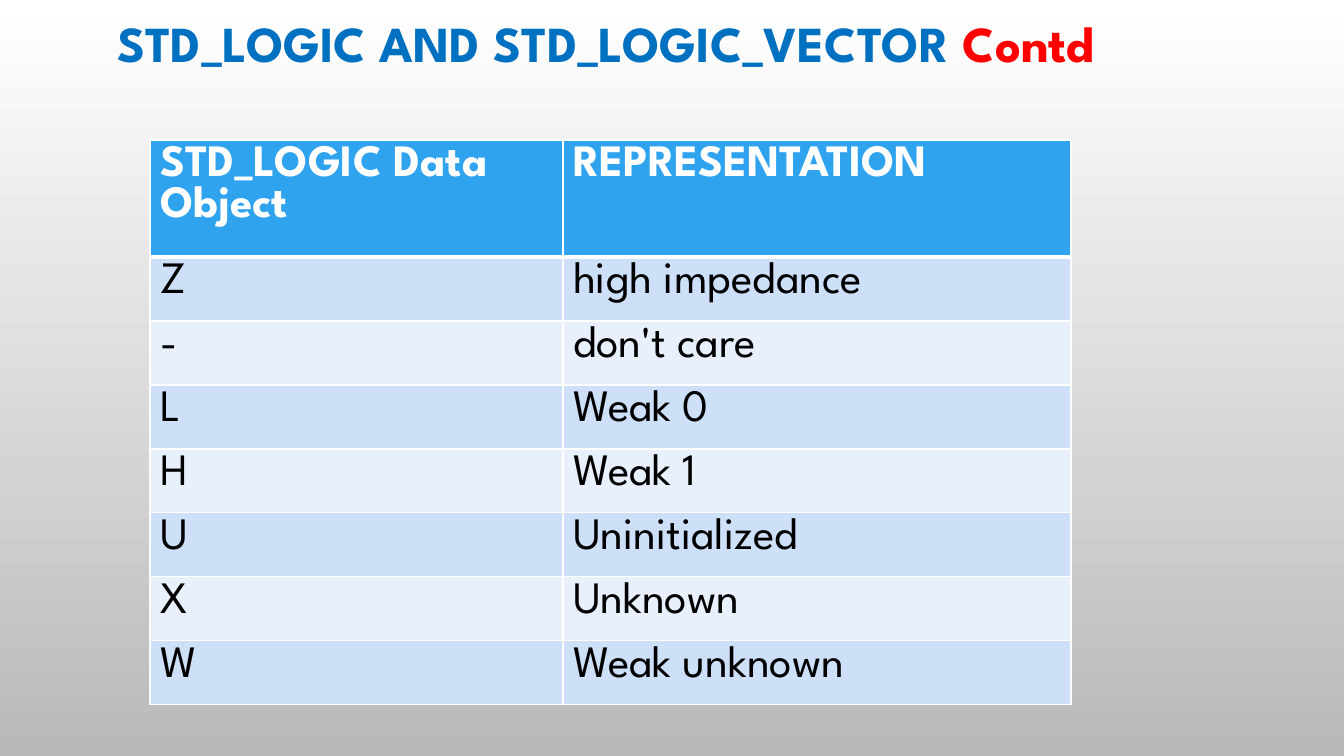
"""Build the slide that lists the STD_LOGIC values and their meanings."""
import typing

import pptx
import pptx.dml.color
import pptx.enum.text
import pptx.oxml
import pptx.oxml.ns
import pptx.util

RGB = pptx.dml.color.RGBColor
WHITE = RGB(0xFF, 0xFF, 0xFF)
GREY = RGB(0xB9, 0xB9, 0xB9)
BLACK = RGB(0x00, 0x00, 0x00)
BLUE = RGB(0x00, 0x70, 0xC0)
RED = RGB(0xFF, 0x00, 0x00)
HEAD = RGB(0x2F, 0xA3, 0xEE)
DARK = RGB(0xCD, 0xE0, 0xF8)
LIGHT = RGB(0xE8, 0xF0, 0xFC)
FONT = "League Spartan"
SCALE = 914400 / 100.8


class Row(typing.NamedTuple):
    value: str
    sense: str


ROWS = [
    Row("STD_LOGIC Data Object", "REPRESENTATION"),
    Row("Z", "high impedance"),
    Row("-", "don't care"),
    Row("L", "Weak 0"),
    Row("H", "Weak 1"),
    Row("U", "Uninitialized"),
    Row("X", "Unknown"),
    Row("W", "Weak unknown"),
]


def px(count: int) -> pptx.util.Emu:
    return pptx.util.Emu(round(count * SCALE))


def write(para, text: str, *, size: int = 32, color: RGB = BLACK, bold: bool = False) -> None:
    run = para.add_run()
    run.text = text
    run.font.name = FONT
    run.font.size = pptx.util.Pt(size)
    run.font.bold = bold
    run.font.color.rgb = color


def edge(cell, side: str, width: int) -> None:
    space = pptx.oxml.ns.nsdecls("a")
    cell._tc.get_or_add_tcPr().append(pptx.oxml.parse_xml(
        f'<a:ln{side} {space} w="{pptx.util.Pt(width)}"><a:solidFill>'
        f'<a:srgbClr val="{WHITE}"/></a:solidFill></a:ln{side}>'))


def paint(slide) -> None:
    fill = slide.background.fill
    fill.gradient()
    fill.gradient_angle = 270
    for stop, color, place in zip(fill.gradient_stops, (WHITE, GREY), (0, 1)):
        stop.color.rgb = color
        stop.position = place


def add_title(slide) -> None:
    title = slide.shapes.title
    title.left, title.top, title.width, title.height = map(px, (107, 3, 1127, 75))
    frame = title.text_frame
    frame.word_wrap = True
    frame.auto_size = pptx.enum.text.MSO_AUTO_SIZE.NONE
    frame.vertical_anchor = pptx.enum.text.MSO_ANCHOR.BOTTOM
    para = frame.paragraphs[0]
    para.alignment = pptx.enum.text.PP_ALIGN.LEFT
    para.line_spacing = 1.07
    write(para, "STD_LOGIC AND STD_LOGIC_VECTOR ", size=36, color=BLUE, bold=True)
    write(para, "Contd", size=36, color=RED, bold=True)


def add_table(slide) -> None:
    widths = (413, 508)
    heights = [117] + [64] * (len(ROWS) - 1)
    table = slide.shapes.add_table(
        len(ROWS), len(widths), px(150), px(140), px(sum(widths)), px(sum(heights))).table
    for column, width in zip(table.columns, widths):
        column.width = px(width)
    for rank, (row, height) in enumerate(zip(ROWS, heights)):
        table.rows[rank].height = px(height)
        first = rank == 0
        for cell, text in zip(table.rows[rank].cells, row):
            edge(cell, "L", 1)
            edge(cell, "R", 1)
            edge(cell, "T", 3 if rank == 1 else 1)
            edge(cell, "B", 3 if first else 1)
            cell.fill.solid()
            cell.fill.fore_color.rgb = HEAD if first else DARK if rank % 2 else LIGHT
            write(cell.text_frame.paragraphs[0], text, color=WHITE if first else BLACK, bold=first)


def main() -> None:
    deck = pptx.Presentation()
    deck.slide_width, deck.slide_height = px(1344), px(756)
    slide = deck.slides.add_slide(deck.slide_layouts.get_by_name("Title Only"))
    paint(slide)
    add_title(slide)
    add_table(slide)
    deck.save("out.pptx")


if __name__ == "__main__":
    main()
